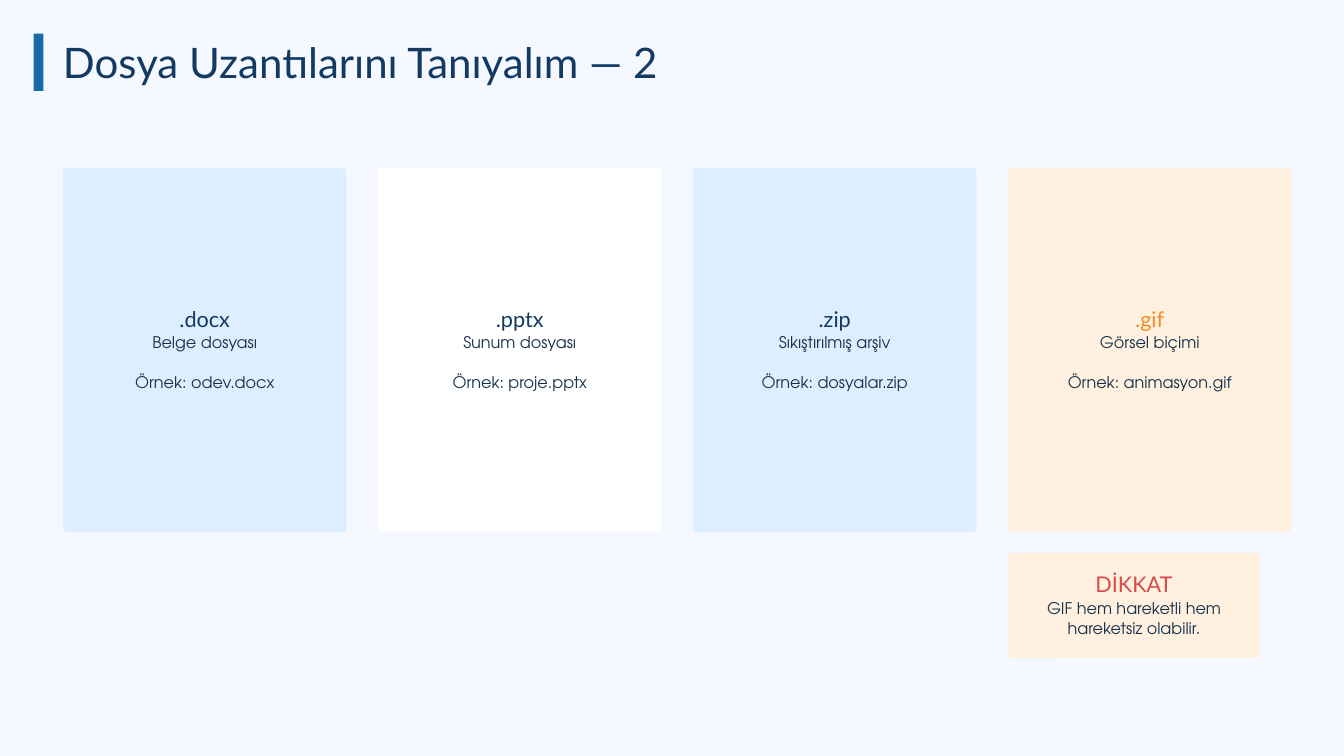
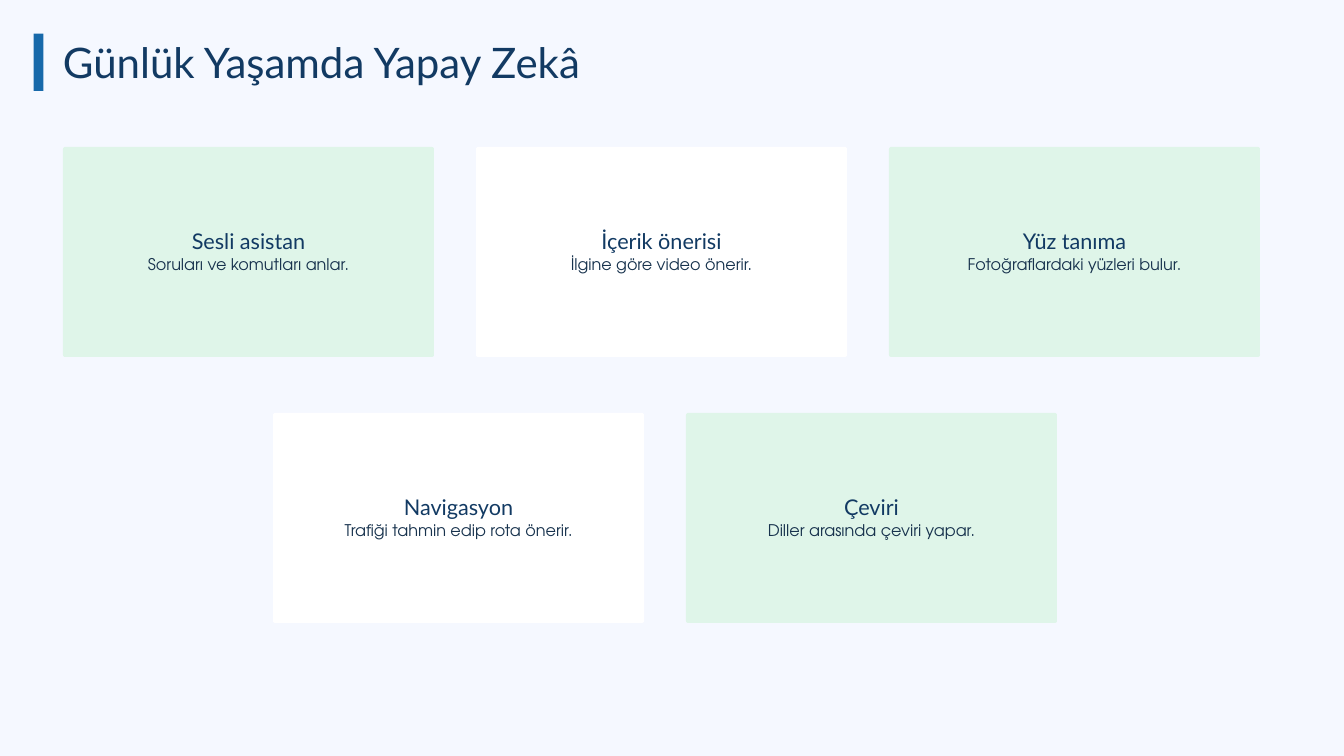
from dataclasses import dataclass

from pptx import Presentation
from pptx.dml.color import RGBColor
from pptx.enum.shapes import MSO_SHAPE as Preset
from pptx.enum.text import MSO_ANCHOR as Anchor, MSO_AUTO_SIZE as AutoSize, PP_ALIGN as Align
from pptx.util import Pt

# Content: heading, lines below it, card fill, heading colour
EXTENSIONS_TITLE = "Dosya Uzantılarını Tanıyalım — 2"
EXTENSIONS = [
    (".docx", ["Belge dosyası", "Örnek: odev.docx"], "sky", "navy"),
    (".pptx", ["Sunum dosyası", "Örnek: proje.pptx"], "white", "navy"),
    (".zip", ["Sıkıştırılmış arşiv", "Örnek: dosyalar.zip"], "sky", "navy"),
    (".gif", ["Görsel biçimi", "Örnek: animasyon.gif"], "peach", "orange"),
]
WARNING = ("DİKKAT", ["GIF hem hareketli hem hareketsiz olabilir."], "peach", "red")

AI_TITLE = "Günlük Yaşamda Yapay Zekâ"
AI_ROWS = [
    [
        ("Sesli asistan", ["Soruları ve komutları anlar."], "mint", "navy"),
        ("İçerik önerisi", ["İlgine göre video önerir."], "white", "navy"),
        ("Yüz tanıma", ["Fotoğraflardaki yüzleri bulur."], "mint", "navy"),
    ],
    [
        ("Navigasyon", ["Trafiği tahmin edip rota önerir."], "white", "navy"),
        ("Çeviri", ["Diller arasında çeviri yapar."], "mint", "navy"),
    ],
]


@dataclass(frozen=True)
class TextStyle:
    font: str
    size: float
    leading: float


class Theme:
    colors = {
        "background": "F5F8FF", "blue": "1769AA", "navy": "123A63", "ink": "17324D",
        "sky": "DCEEFF", "white": "FFFFFF", "peach": "FFF0DF", "mint": "DFF5E9",
        "orange": "F28C28", "red": "D94B4B",
    }
    title = TextStyle("Lato", 45, 47.2)
    heading = TextStyle("Lato", 23.2, 25.6)
    body = TextStyle("TeX Gyre Adventor", 17.2, 21.6)


# Geometry in px on a 1920 by 1080 slide
PX = 9525
WIDTH, HEIGHT = 1920, 1080
MARGIN = 90
INSET = 6
BAR = (48, 48, 14, 82)
TITLE_BOX = (MARGIN, 61, 1740, 65)


def px(*lengths):
    return [length * PX for length in lengths]


def color(name):
    return RGBColor.from_string(Theme.colors[name])


def write(paragraph, text, style, ink="ink", align=Align.CENTER, before=0):
    paragraph.text = text
    paragraph.alignment = align
    paragraph.line_spacing = Pt(style.leading)
    paragraph.space_before = Pt(before)
    paragraph.space_after = Pt(0)
    font = paragraph.font
    font.name, font.size, font.bold = style.font, Pt(style.size), False
    font.color.rgb = color(ink)


def set_frame(frame, inset, anchor):
    frame.word_wrap = True
    frame.auto_size = AutoSize.NONE
    frame.vertical_anchor = anchor
    frame.margin_left, frame.margin_top, frame.margin_right, frame.margin_bottom = px(*[inset] * 4)


def add_block(slide, preset, box, fill):
    shape = slide.shapes.add_shape(preset, *px(*box))
    shape.shadow.inherit = False
    shape.fill.solid()
    shape.fill.fore_color.rgb = color(fill)
    shape.line.fill.background()
    return shape


def add_card(slide, box, content, radius):
    heading, lines, fill, heading_color = content
    card = add_block(slide, Preset.ROUNDED_RECTANGLE, box, fill)
    card.adjustments[0] = radius / min(box[2:])
    frame = card.text_frame
    set_frame(frame, INSET, Anchor.MIDDLE)
    write(frame.paragraphs[0], heading, Theme.heading, ink=heading_color)
    for index, line in enumerate(lines):
        # The example stands one line below the description
        gap = Theme.body.leading if index else 0
        write(frame.add_paragraph(), line, Theme.body, before=gap)


def add_row(slide, cards, left, top, width, height, gap, radius):
    for index, content in enumerate(cards):
        add_card(slide, (left + index * (width + gap), top, width, height), content, radius)


def add_titled_slide(presentation, text):
    slide = presentation.slides.add_slide(presentation.slide_layouts[5])
    title = slide.shapes.title
    title.left, title.top, title.width, title.height = px(*TITLE_BOX)
    set_frame(title.text_frame, 0, Anchor.TOP)
    write(title.text_frame.paragraphs[0], text, Theme.title, ink="navy", align=Align.LEFT)
    add_block(slide, Preset.RECTANGLE, BAR, "blue")
    return slide


def build_extensions(presentation):
    slide = add_titled_slide(presentation, EXTENSIONS_TITLE)
    add_row(slide, EXTENSIONS, MARGIN, top=240, width=405, height=520, gap=45, radius=5)
    add_card(slide, (1440, 790, 360, 150), WARNING, radius=5)


def build_daily_ai(presentation):
    slide = add_titled_slide(presentation, AI_TITLE)
    for index, (cards, left) in enumerate(zip(AI_ROWS, (MARGIN, 390))):
        add_row(slide, cards, left, top=210 + index * 380, width=530, height=300, gap=60, radius=3)


def main():
    presentation = Presentation()
    presentation.slide_width, presentation.slide_height = px(WIDTH, HEIGHT)
    background = presentation.slide_master.background.fill
    background.solid()
    background.fore_color.rgb = color("background")
    build_extensions(presentation)
    build_daily_ai(presentation)
    presentation.save("out.pptx")


if __name__ == "__main__":
    main()
